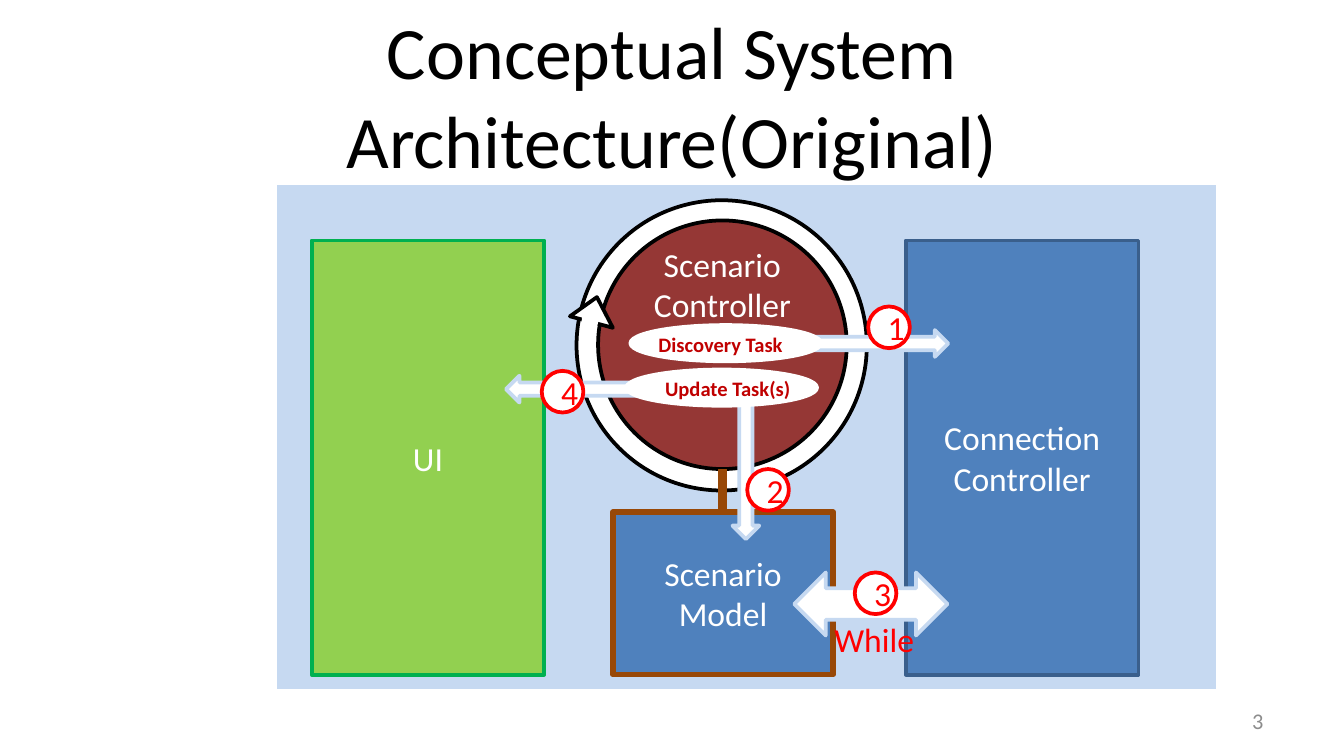
from dataclasses import dataclass
from typing import Optional

from lxml import etree
from pptx import Presentation
from pptx.dml.color import RGBColor
from pptx.enum.shapes import MSO_CONNECTOR, MSO_SHAPE
from pptx.enum.text import MSO_ANCHOR, PP_ALIGN
from pptx.oxml.ns import qn
from pptx.util import Pt

RECTANGLE = MSO_SHAPE.RECTANGLE
OVAL = MSO_SHAPE.OVAL
DOWN_ARROW = MSO_SHAPE.DOWN_ARROW
DOUBLE_ARROW = MSO_SHAPE.LEFT_RIGHT_ARROW
TRIANGLE = MSO_SHAPE.ISOSCELES_TRIANGLE
STRAIGHT = MSO_CONNECTOR.STRAIGHT
TOP, MIDDLE = MSO_ANCHOR.TOP, MSO_ANCHOR.MIDDLE
LEFT, CENTER, RIGHT = PP_ALIGN.LEFT, PP_ALIGN.CENTER, PP_ALIGN.RIGHT

WHITE = RGBColor(0xFF, 0xFF, 0xFF)
BLACK = RGBColor(0x00, 0x00, 0x00)
PALE_BLUE = RGBColor(0xC6, 0xD9, 0xF1)
BLUE = RGBColor(0x4F, 0x81, 0xBD)
DARK_BLUE = RGBColor(0x3A, 0x5F, 0x8C)
LIME = RGBColor(0x92, 0xD0, 0x50)
GREEN = RGBColor(0x00, 0xB0, 0x50)
BROWN = RGBColor(0x98, 0x48, 0x07)
MAROON = RGBColor(0x95, 0x37, 0x35)
RED = RGBColor(0xFF, 0x00, 0x00)
DARK_RED = RGBColor(0xC0, 0x00, 0x00)
GRAY = RGBColor(0x8C, 0x8C, 0x8C)

FONT = "Calibri"
BADGE_SIZE = 22.3
TASK_SIZE = (102.2, 19.4)
ARROW_SIZE = (14.4, 74.2)


@dataclass(frozen=True)
class Block:
    """A preset shape with optional centred text; lengths in points."""
    kind: MSO_SHAPE
    left: float
    top: float
    width: float
    height: float
    fill: RGBColor = WHITE
    line: Optional[RGBColor] = None
    line_width: float = 2
    text: str = ""
    color: RGBColor = WHITE
    rotation: float = 0
    anchor: MSO_ANCHOR = MIDDLE
    inset_top: float = 3.6
    adjustment: Optional[float] = None


@dataclass(frozen=True)
class Label:
    """A free-standing text; lengths in points."""
    text: str
    left: float
    top: float
    width: float
    height: float
    size: float
    color: RGBColor
    align: PP_ALIGN = LEFT
    anchor: MSO_ANCHOR = TOP
    bold: bool = False


def badge(number: int, left: float, top: float) -> Block:
    """Describe a numbered red circle."""
    return Block(OVAL, left, top, BADGE_SIZE, BADGE_SIZE, line=RED,
                 text=str(number), color=RED)


def arrow(left: float, top: float, rotation: float = 0) -> Block:
    """Describe a thin white arrow, pointing down unless rotated."""
    return Block(DOWN_ARROW, left, top, *ARROW_SIZE, line=PALE_BLUE,
                 rotation=rotation)


def task(left: float, top: float) -> Block:
    """Describe the white oval behind a task name."""
    return Block(OVAL, left, top, *TASK_SIZE, line=WHITE)


def column(left: float, text: str, fill: RGBColor, line: RGBColor) -> Block:
    """Describe a tall component box."""
    return Block(RECTANGLE, left, 128.9, 124.6, 232.6, fill, line, text=text)


def task_name(text: str, left: float, top: float, width: float) -> Label:
    """Describe the name shown on a task oval."""
    return Label(text, left, top, width, 20.9, 11, DARK_RED, bold=True)


ELEMENTS = [
    Block(RECTANGLE, 147.6, 97.9, 504.7, 272.2, PALE_BLUE, WHITE),
    Block(OVAL, 308.9, 107.3, 155.5, 155.5, line=BLACK),
    Label("Conceptual System Architecture(Original)", 36, 16.6, 648, 67.7,
          39.6, BLACK, CENTER, MIDDLE),
    column(485.3, "Connection Controller", BLUE, DARK_BLUE),
    column(167, "UI", LIME, GREEN),
    Block(RECTANGLE, 328.3, 274.3, 118.1, 87.1, BLUE, BROWN, 3,
          "Scenario\nModel"),
    Block(OVAL, 320.4, 118.1, 133.2, 133.2, MAROON, BLACK,
          text="Scenario\nController", anchor=TOP, inset_top=-7),
    arrow(463.7, 146.9, 270),
    badge(1, 465.1, 164.2),
    task(337.7, 174.2),
    Block(TRIANGLE, 306.7, 159.1, 23.8, 13.7, line=BLACK, rotation=15,
          adjustment=0.475),
    Block(RECTANGLE, 313.9, 169.2, 6.5, 6.5, rotation=104),
    Block(RECTANGLE, 309.6, 171.4, 7.9, 4.3, rotation=277.5),
    task_name("Discovery Task", 345.6, 174.2, 94.3),
    arrow(392.4, 214.6),
    arrow(301, 171.4, 90),
    task(335.5, 198),
    task_name("Update Task(s)", 349.2, 198, 86.4),
    badge(2, 400.3, 251.3),
    Block(DOUBLE_ARROW, 425.5, 306.7, 82.1, 33.8, line=PALE_BLUE),
    badge(3, 457.9, 306.7),
    badge(4, 290.2, 198.7),
    Label("While", 439.9, 328.3, 73.4, 28.8, 18, RED),
    Label("3", 516.2, 375.1, 167.8, 21.6, 12, GRAY, RIGHT, MIDDLE),
]


def write_text(shape, text: str, size: float, color: RGBColor,
               align: PP_ALIGN, anchor: MSO_ANCHOR, bold: bool = False) -> None:
    """Fill a shape with text and format every run."""
    text_frame = shape.text_frame
    text_frame.text = text
    text_frame.word_wrap = True
    text_frame.vertical_anchor = anchor
    for paragraph in text_frame.paragraphs:
        paragraph.alignment = align
        for run in paragraph.runs:
            run.font.name = FONT
            run.font.size = Pt(size)
            run.font.bold = bold
            run.font.color.rgb = color


def draw_block(slide, block: Block) -> None:
    """Draw a preset shape."""
    shape = slide.shapes.add_shape(block.kind, Pt(block.left), Pt(block.top),
                                   Pt(block.width), Pt(block.height))
    shape.shadow.inherit = False
    shape.rotation = block.rotation
    shape.fill.solid()
    shape.fill.fore_color.rgb = block.fill
    if block.line is None:
        shape.line.fill.background()
    else:
        shape.line.color.rgb = block.line
        shape.line.width = Pt(block.line_width)
    if block.adjustment is not None:
        shape.adjustments[0] = block.adjustment
    if block.text:
        write_text(shape, block.text, 18, block.color, CENTER, block.anchor)
        shape.text_frame.margin_top = Pt(block.inset_top)


def draw_label(slide, label: Label) -> None:
    """Draw a text box."""
    box = slide.shapes.add_textbox(Pt(label.left), Pt(label.top),
                                   Pt(label.width), Pt(label.height))
    write_text(box, label.text, label.size, label.color, label.align,
               label.anchor, label.bold)


def draw_model_link(slide) -> None:
    """Draw the brown line from the controller to the model."""
    link = slide.shapes.add_connector(STRAIGHT, Pt(387), Pt(251.3),
                                      Pt(387), Pt(274.3))
    link.line.color.rgb = BROWN
    link.line.width = Pt(4.5)
    etree.SubElement(link._element.spPr, qn("a:effectLst"))


def main() -> None:
    """Build and save the slide."""
    presentation = Presentation()
    presentation.slide_width, presentation.slide_height = Pt(720), Pt(405)
    slide = presentation.slides.add_slide(presentation.slide_layouts[6])
    for element in ELEMENTS:
        if isinstance(element, Block):
            draw_block(slide, element)
        else:
            draw_label(slide, element)
    draw_model_link(slide)
    presentation.save("out.pptx")


main()
